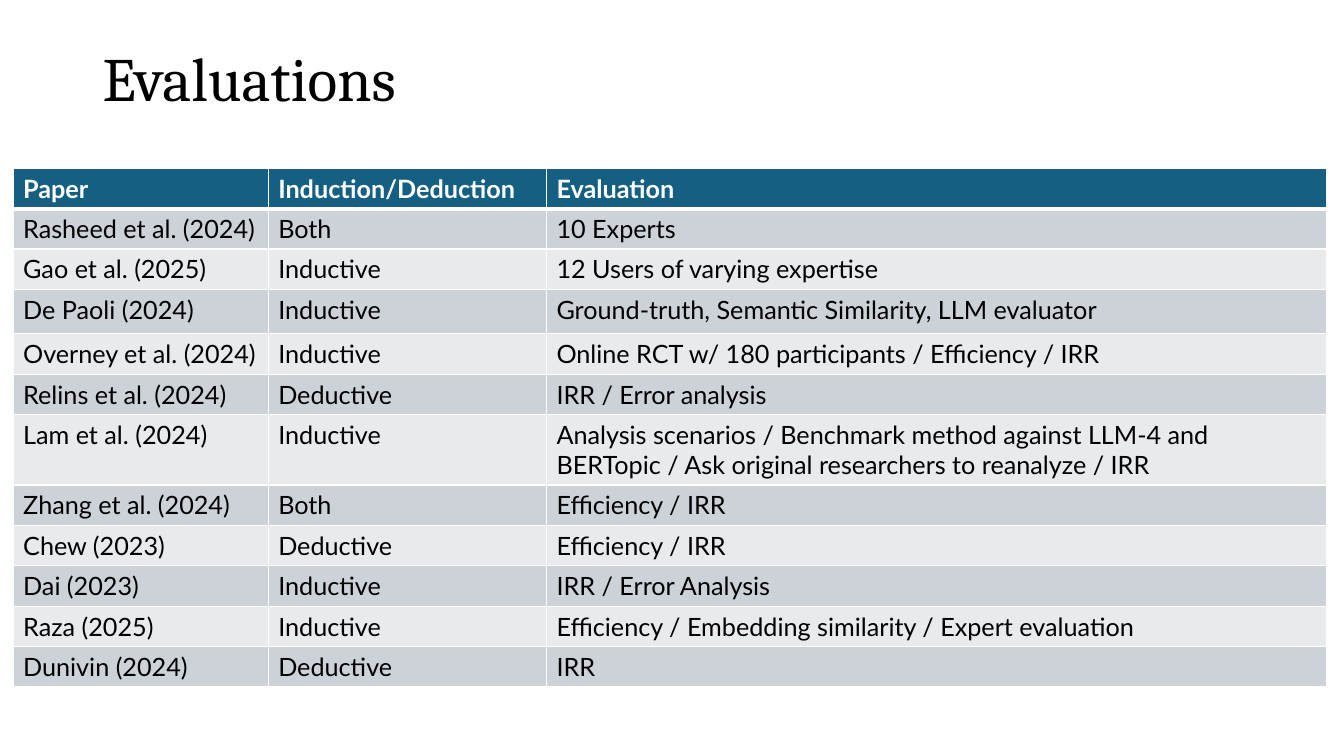
from lxml.etree import SubElement
from pptx import Presentation
from pptx.dml.color import RGBColor
from pptx.enum.text import MSO_ANCHOR
from pptx.oxml.ns import qn
from pptx.util import Inches, Pt

COLORS = {"header": "156082", "odd": "CCD2D8", "even": "E8EAED",
          "text": "000000", "white": "FFFFFF"}
HEADERS = ("Paper", "Induction/Deduction", "Evaluation")
STUDIES = [
    ("Rasheed et al. (2024)", "Both", "10 Experts"),
    ("Gao et al. (2025)", "Inductive", "12 Users of varying expertise"),
    ("De Paoli (2024)", "Inductive", "Ground-truth, Semantic Similarity, LLM evaluator"),
    ("Overney et al. (2024)", "Inductive", "Online RCT w/ 180 participants / Efficiency / IRR"),
    ("Relins et al. (2024)", "Deductive", "IRR / Error analysis"),
    ("Lam et al. (2024)", "Inductive",
     "Analysis scenarios / Benchmark method against LLM-4 and "
     "BERTopic / Ask original researchers to reanalyze / IRR"),
    ("Zhang et al. (2024)", "Both", "Efficiency / IRR"),
    ("Chew (2023)", "Deductive", "Efficiency / IRR"),
    ("Dai (2023)", "Inductive", "IRR / Error Analysis"),
    ("Raza (2025)", "Inductive", "Efficiency / Embedding similarity / Expert evaluation"),
    ("Dunivin (2024)", "Deductive", "IRR"),
]
COLUMN_WIDTHS = (2.53, 2.76, 7.74)
ROW_HEIGHT = 0.4
TALL_ROWS = {3: 0.44, 6: 0.7}


def style_span(span, font, size, color, bold=False):
    """Set the font, size, colour and weight of a run."""
    span.font.name = font
    span.font.size = Pt(size)
    span.font.bold = bold
    span.font.color.rgb = RGBColor.from_string(COLORS[color])


def add_borders(cell, widths):
    """Draw white borders of the given point widths by side."""
    properties = cell._tc.get_or_add_tcPr()
    for side, width in widths.items():
        line = SubElement(properties, qn(f"a:ln{side}"), w=str(Pt(width)))
        fill = SubElement(line, qn("a:solidFill"))
        SubElement(fill, qn("a:srgbClr"), val=COLORS["white"])


def add_title(page, left, top, width, height):
    """Place the slide title in its box."""
    box = page.shapes.add_textbox(*map(Inches, (left, top, width, height)))
    frame = box.text_frame
    frame.word_wrap = True
    frame.vertical_anchor = MSO_ANCHOR.MIDDLE
    frame.text = "Evaluations"
    para = frame.paragraphs[0]
    para.line_spacing = 0.9
    style_span(para.runs[0], "Cambria", 44, "text")


def fill_cell(cell, text, row_index):
    """Write a cell and give it the look of its row."""
    is_header = row_index == 0
    cell.text = text
    style_span(cell.text_frame.paragraphs[0].runs[0], "Lato", 18,
               "white" if is_header else "text", is_header)
    add_borders(cell, {"L": 1, "R": 1, "T": 3 if row_index == 1 else 1,
                       "B": 3 if is_header else 1})
    band = "header" if is_header else "odd" if row_index % 2 else "even"
    cell.fill.solid()
    cell.fill.fore_color.rgb = RGBColor.from_string(COLORS[band])


def add_study_table(page, left, top, width, height):
    """Place the table of papers and their evaluations in its box."""
    rows = [HEADERS, *STUDIES]
    frame = page.shapes.add_table(len(rows), len(HEADERS),
                                  *map(Inches, (left, top, width, height)))
    table = frame.table
    for column, column_width in zip(table.columns, COLUMN_WIDTHS):
        column.width = Inches(column_width)
    for row_index, texts in enumerate(rows):
        row = table.rows[row_index]
        row.height = Inches(TALL_ROWS.get(row_index, ROW_HEIGHT))
        for cell, text in zip(row.cells, texts):
            fill_cell(cell, text, row_index)


def main():
    """Build and save the slide."""
    deck = Presentation()
    deck.slide_width, deck.slide_height = Inches(13.33), Inches(7.5)
    page = deck.slides.add_slide(deck.slide_layouts[6])
    add_title(page, 0.92, 0.08, 11.5, 1.45)
    add_study_table(page, 0.13, 1.67, sum(COLUMN_WIDTHS), 5.14)
    deck.save("out.pptx")


if __name__ == "__main__":
    main()
